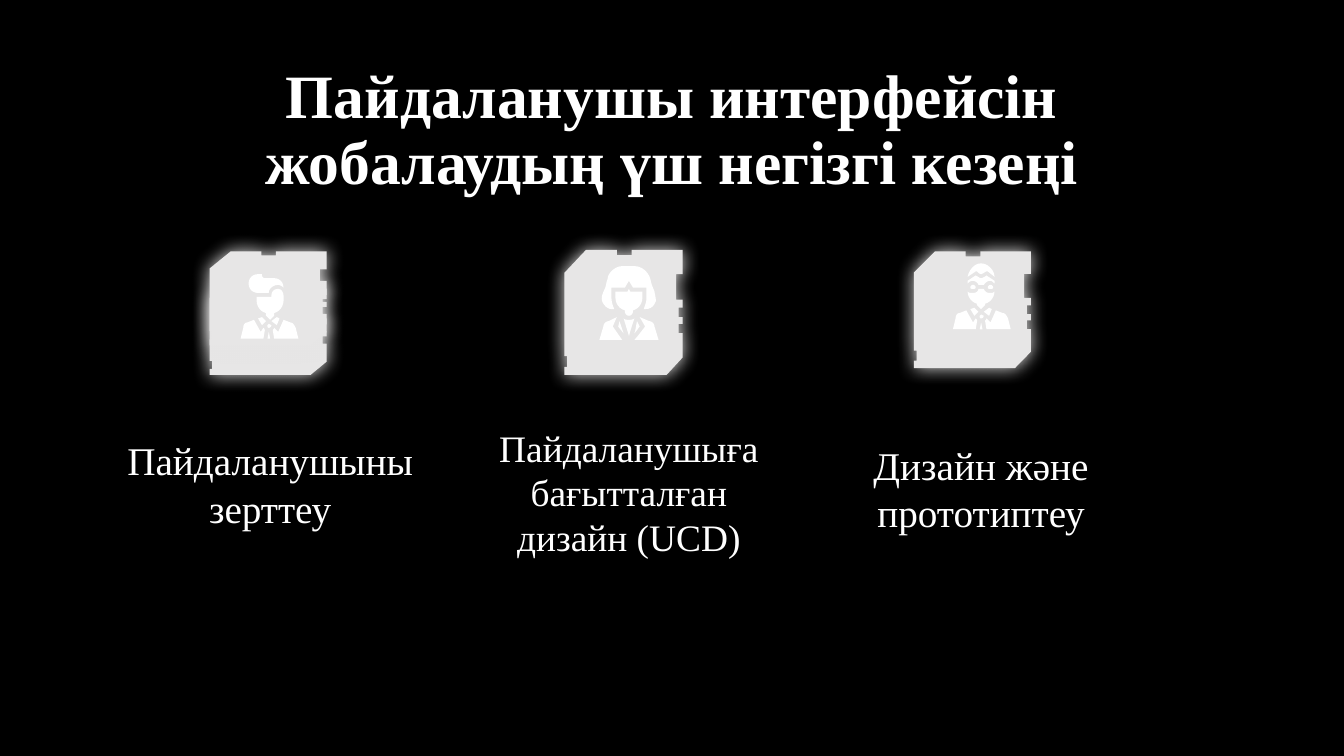
from lxml import etree
from pptx import Presentation
from pptx.dml.color import RGBColor
from pptx.enum import text
from pptx.oxml.ns import qn
from pptx.util import Inches, Pt

BLACK = RGBColor(0x00, 0x00, 0x00)
WHITE = RGBColor(0xFF, 0xFF, 0xFF)
SILVER = RGBColor(0xE7, 0xE6, 0xE6)
CURVE_STEPS = 6

# Outlines are in hundredths of an inch; C starts a cubic curve of three points.
BADGE = ("16,0 0,17 0,79 2,79 2,87 0,87 0,93 76,93 88,80 88,62 85,62 85,55 88,55 "
         "88,50 85,50 85,43 88,43 88,37 83,37 83,18 88,18 88,0 50,0 50,4 39,4 39,0")
BADGE_WIDTH, BADGE_HEIGHT = 0.88, 0.93

SHIRT_AND_TIE = [
    "16,33 13,34 16,39 19,36",
    "32,35 28,44 25,41 C 25,42 24,42 24,43 25,49 43,49 41,41 C 40,39 39,37 37,37",
    "21,38 20,39 C 20,40 20,41 21,41 C 22,41 23,40 23,39",
    "10,35 5,37 C 3,37 2,39 2,41 0,49 17,49 18,43 C 18,42 18,42 17,41 15,44",
    "27,33 23,36 27,39 29,34",
    "21,44 20,49 22,49",
]
BUN_HEAD = [
    "28,12 C 25,12 23,14 23,17 23,18 12,18 12,21 C 12,25 15,29 19,30 19,32 22,35 "
    "25,32 25,30 C 29,29 32,25 32,21 32,17 C 32,14 30,12 28,12",
    "13,1 C 9,1 6,4 6,8 C 6,12 9,15 13,15 21,15 C 21,12 24,9 28,9 C 29,9 31,10 32,11 "
    "C 32,7 29,4 25,4 18,4 C 17,4 16,3 16,2 16,1",
]
GLASSES_HEAD = [
    "28,16 C 27,16 26,17 26,18 C 26,19 27,19 28,19 C 29,19 30,19 30,18 C 30,17 29,16 28,16",
    "15,16 C 14,16 13,17 13,18 C 13,19 14,19 15,19 C 16,19 17,19 17,18 C 17,17 16,16 15,16",
    "17,9 11,13 11,15 C 12,14 13,13 15,13 C 17,13 19,15 19,16 23,16 C 24,15 25,13 28,13 "
    "C 29,13 30,14 31,15 31,13 25,9 C 24,10 22,11 21,11 C 20,11 19,10 17,9",
    "21,0 C 16,0 12,5 11,10 17,6 18,6 C 19,7 20,8 21,8 C 22,8 23,7 25,6 26,6 31,10 "
    "C 31,5 26,0 21,0",
    "19,19 C 19,21 17,22 15,22 C 13,22 12,22 11,21 C 11,25 14,29 18,30 18,31 21,34 "
    "24,31 24,30 C 28,29 31,25 31,21 C 30,22 29,22 28,22 C 25,22 24,21 23,19",
]
LONG_HAIR_PERSON = [
    "22,17 21,19 12,19 12,24 C 12,28 15,32 19,33 19,34 C 19,35 20,37 22,37 "
    "C 24,37 25,35 25,34 25,33 C 29,32 32,28 32,24 32,19 23,19",
    "18,0 17,0 C 12,0 6,5 6,10 C 5,12 5,15 4,17 C 3,19 1,23 2,26 C 3,29 6,32 9,32 "
    "11,32 C 10,29 9,27 9,24 9,16 19,16 22,11 25,16 35,16 35,24 C 35,27 34,29 33,32 "
    "34,32 C 39,32 41,29 42,26 C 42,23 41,20 41,19 C 40,16 39,15 38,10 C 37,5 32,0 26,0",
    "30,38 34,45 C 34,45 28,53 26,55 44,55 41,45 C 41,43 39,41 37,41",
    "15,41 14,45 18,50",
    "18,39 22,52 C 23,48 25,42 26,39 C 25,40 23,40 22,40 C 20,40 19,40 18,39",
    "28,41 C 27,45 27,48 26,50 C 28,48 29,46 30,45",
    "13,38 7,41 C 5,41 3,43 3,45 0,55 17,55 10,45",
]


def draw_outline(group, outline, left, top, color, x_scale=1, y_scale=1):
    """Draw a closed outline whose grid starts at left, top (inches)."""
    tokens = iter(outline.split())
    points = []
    for token in tokens:
        if token == "C":
            corners = [points[-1]]
            corners += [tuple(map(float, next(tokens).split(","))) for _ in range(3)]
            for step in range(1, CURVE_STEPS + 1):
                t = step / CURVE_STEPS
                weights = ((1 - t) ** 3, 3 * t * (1 - t) ** 2, 3 * t * t * (1 - t), t ** 3)
                points.append(tuple(sum(w * c[axis] for w, c in zip(weights, corners))
                                    for axis in (0, 1)))
        else:
            points.append(tuple(map(float, token.split(","))))
    emu = [(Inches(left + x * x_scale / 100), Inches(top + y * y_scale / 100))
           for x, y in points]
    builder = group.shapes.build_freeform(*emu[0])
    builder.add_line_segments(emu[1:], close=True)
    outline_shape = builder.convert_to_shape()
    outline_shape.fill.solid()
    outline_shape.fill.fore_color.rgb = color
    outline_shape.line.fill.background()
    outline_shape.shadow.inherit = False
    return outline_shape


def write(frame, words, size, spacing, bold=False):
    """Fill a frame with one centred white paragraph."""
    frame.word_wrap = True
    frame.auto_size = text.MSO_AUTO_SIZE.NONE
    frame.margin_left = frame.margin_right = frame.margin_bottom = Inches(0.1)
    frame.text = words
    paragraph = frame.paragraphs[0]
    paragraph.alignment = text.PP_ALIGN.CENTER
    paragraph.line_spacing = spacing
    font = paragraph.runs[0].font
    font.name, font.size, font.bold = "Times New Roman", Pt(size), bold
    font.color.rgb = WHITE


prs = Presentation()
prs.slide_width = Inches(10)
prs.slide_height = prs.slide_width * 9 // 16
slide = prs.slides.add_slide(prs.slide_layouts[5])
slide.background.fill.solid()
slide.background.fill.fore_color.rgb = BLACK

title = slide.shapes.title
title.left, title.top = Inches(0.78), Inches(0.59)
title.width, title.height = Inches(8.44), Inches(0.78)
write(title.text_frame, "Пайдаланушы интерфейсін жобалаудың үш негізгі кезеңі", 33, 0.9, True)
title.text_frame.margin_top = Inches(0.1)
title.text_frame.vertical_anchor = text.MSO_ANCHOR.MIDDLE

# The first stage has two overlapping badges.
badge_groups = [
    [(1.56, 2.09, 0.87, 0.7), (1.56, 1.87, 0.87, 0.7)],
    [(4.2, 1.86, 0.88, 0.93)],
    [(6.8, 1.87, 0.87, 0.87)],
]
for badges in badge_groups:
    group = slide.shapes.add_group_shape()
    for left, top, width, height in badges:
        badge = draw_outline(group, BADGE, left, top, SILVER,
                             width / BADGE_WIDTH, height / BADGE_HEIGHT)
        effects = badge.element.spPr.find(qn("a:effectLst"))
        glow = etree.SubElement(effects, qn("a:outerShdw"), blurRad=str(Pt(10.1)),
                                dist="0", dir="0", algn="ctr", rotWithShape="0")
        etree.SubElement(glow, qn("a:srgbClr"), val=str(SILVER))

stages = [
    ("Пайдаланушыны зерттеу", 21, (0.65, 3.25, 2.72, 0.78)),
    ("Пайдаланушыға бағытталған дизайн (UCD)", 20, (3.45, 3.16, 2.46, 1.11)),
    ("Дизайн және прототиптеу", 21, (6.12, 3.28, 2.36, 0.78)),
]
for words, size, place in stages:
    stage = slide.shapes.add_textbox(*map(Inches, place))
    write(stage.text_frame, words, size, 1.0)
    stage.text_frame.margin_top = 0

people = [
    (LONG_HAIR_PERSON, 4.46, 1.98),
    (GLASSES_HEAD + SHIRT_AND_TIE, 7.09, 1.96),
    (BUN_HEAD + SHIRT_AND_TIE, 1.79, 2.03),
]
for outlines, left, top in people:
    person = slide.shapes.add_group_shape()
    for outline in outlines:
        draw_outline(person, outline, left, top, WHITE)

prs.save("out.pptx")
